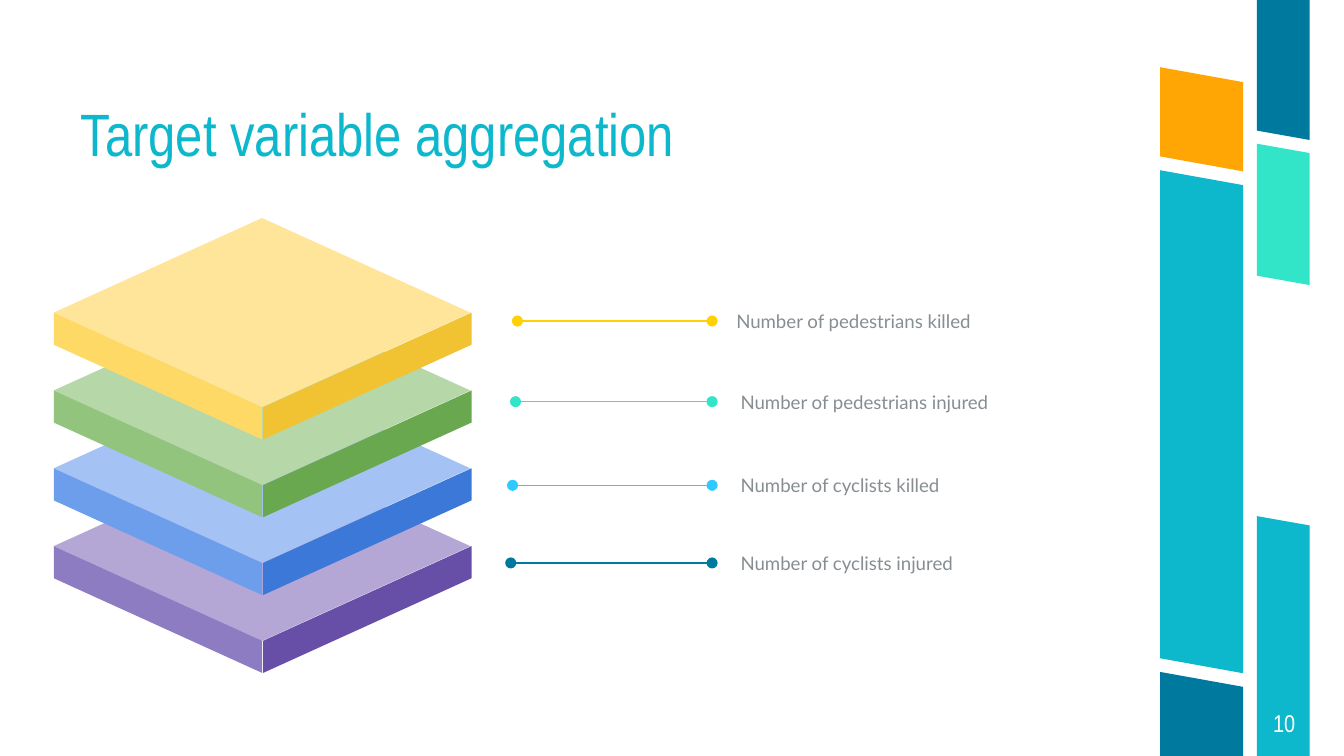
from lxml import etree
from pptx import Presentation
from pptx import util as u
from pptx.dml.color import RGBColor
from pptx.enum import shapes, text
from pptx.oxml import ns

HUES = {
    "teal": "0DB8CC", "mint": "32E4C8", "navy": "00799E", "orange": "FFA604",
    "gold": "FFD104", "sky": "2EC9FF", "gray": "878E92", "white": "FFFFFF",
    "plum top": "B4A7D6", "plum left": "8E7CC3", "plum right": "674EA7",
    "blue top": "A4C2F4", "blue left": "6D9EEB", "blue right": "3C78D8",
    "green top": "B6D7A8", "green left": "93C47D", "green right": "6AA84F",
    "yellow top": "FFE599", "yellow left": "FFD966", "yellow right": "F1C232",
}


class Deck:
    """Holds the style and the current slide, and draws each kind of element."""

    head, body = "Arial Narrow", "Lato"

    def __init__(self, wide, high):
        self.prs = Presentation()
        self.prs.slide_width, self.prs.slide_height = u.Pt(wide), u.Pt(high)
        self.slide = self.prs.slides.add_slide(self.prs.slide_layouts[5])

    def hue(self, name):
        return RGBColor.from_string(HUES[name])

    def style(self, shape, words, face, size, hue, anchor, align):
        frame = shape.text_frame
        frame.text = words
        frame.word_wrap = True
        frame.auto_size = text.MSO_AUTO_SIZE.NONE
        frame.vertical_anchor = anchor
        frame.margin_left = frame.margin_right = 0
        frame.margin_top = frame.margin_bottom = 0
        para = frame.paragraphs[0]
        para.alignment = align
        para.font.name, para.font.size = face, u.Pt(size)
        para.font.color.rgb = self.hue(hue)
        return para

    def title(self, words, x, y, w, h):
        shape = self.slide.shapes.title
        shape.left, shape.top = u.Pt(x), u.Pt(y)
        shape.width, shape.height = u.Pt(w), u.Pt(h)
        para = self.style(shape, words, self.head, 32, "teal",
                          text.MSO_ANCHOR.BOTTOM, text.PP_ALIGN.LEFT)
        para.line_spacing = 0.9

    def label(self, words, x, y, w, h, face, size, hue, align):
        box = self.slide.shapes.add_textbox(u.Pt(x), u.Pt(y), u.Pt(w), u.Pt(h))
        self.style(box, words, face, size, hue, text.MSO_ANCHOR.MIDDLE, align)

    def poly(self, home, hue, *spots):
        first, *rest = [(u.Pt(x), u.Pt(y)) for x, y in spots]
        pen = home.build_freeform(*first)
        pen.add_line_segments(rest, close=True)
        shape = pen.convert_to_shape()
        shape.shadow.inherit = False
        shape.fill.solid()
        shape.fill.fore_color.rgb = self.hue(hue)
        shape.line.fill.background()

    def bar(self, hue, x, w, top, end):
        self.poly(self.slide.shapes, hue, (x, top[0]), (x + w, top[1]),
                  (x + w, end[1]), (x, end[0]))

    def layer(self, home, tint, x, y):
        half, drop, thick, gap = 111.6, 50.7, 17.2, 0.6
        mid, side, low = x + half, y + drop, y + 2 * drop
        self.poly(home, tint + " top", (mid, y), (mid + half, side),
                  (mid, low), (x, side))
        self.poly(home, tint + " left", (x, side), (mid, low),
                  (mid, low + thick), (x, side + thick))
        near, far = mid + gap, mid + half + gap
        self.poly(home, tint + " right", (far, side), (near, low),
                  (near, low + thick), (far, side + thick))

    def stack(self, tints, x, y, step):
        home = self.slide.shapes.add_group_shape().shapes
        for i, tint in enumerate(tints):
            self.layer(home, tint, x, y - i * step)

    def rule(self, hue, x, end, y):
        line = self.slide.shapes.add_connector(
            shapes.MSO_CONNECTOR.STRAIGHT, u.Pt(x), u.Pt(y), u.Pt(end), u.Pt(y))
        line.line.color.rgb = self.hue(hue)
        line.line.width = u.Pt(0.75)
        props = line._element.spPr
        for tag in ("a:headEnd", "a:tailEnd"):
            etree.SubElement(props.find(ns.qn("a:ln")), ns.qn(tag), type="oval")
        etree.SubElement(props, ns.qn("a:effectLst"))


def main():
    deck = Deck(720, 405)
    left, right = (621.5, 44.5), (673.3, 28.2)
    for hue, col, top, end in (
        ("teal", right, (276.5, 281.5), (405, 405)),
        ("mint", right, (77, 82), (147.7, 152.7)),
        ("navy", right, (0, 0), (70, 75)),
        ("orange", left, (36, 44), (83.8, 91.8)),
        ("navy", left, (360, 368), (405, 405)),
        ("teal", left, (91.2, 99.2), (352.7, 360.7)),
    ):
        deck.bar(hue, *col, top, end)

    deck.title("Target variable aggregation", 43.2, 59.8, 481, 31)
    deck.label("10", 673.9, 369.4, 28, 36, deck.head, 13, "white",
               text.PP_ALIGN.CENTER)

    for words, hue, start, x, y in (
        ("Number of pedestrians killed", "gold", 277.2, 394.5, 172),
        ("Number of pedestrians injured", "mint", 276.2, 396.8, 215.2),
        ("Number of cyclists killed", "sky", 274.6, 396.8, 260),
        ("Number of cyclists injured", "navy", 273.6, 396.8, 301.6),
    ):
        deck.rule(hue, start, 381.5, y)
        deck.label(words, x, y - 13.3, 175.7, 26.6, deck.body, 10, "gray",
                   text.PP_ALIGN.LEFT)

    deck.stack(("plum", "blue", "green", "yellow"), 28.8, 241.9, 41.7)
    deck.prs.save("out.pptx")


if __name__ == "__main__":
    main()
